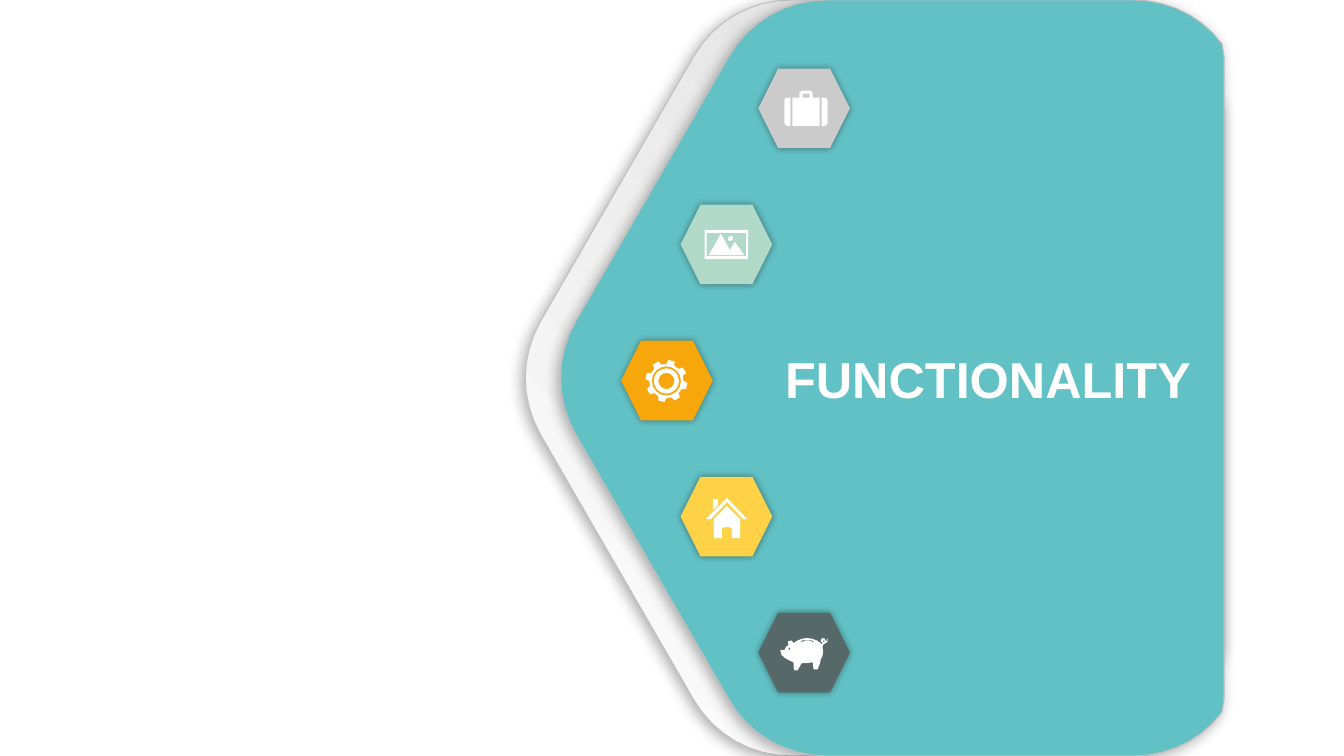
from math import cos, dist, pi, sin

from lxml.etree import SubElement
from pptx import Presentation
from pptx.dml.color import RGBColor
from pptx.enum.shapes import MSO_SHAPE as Shape
from pptx.enum.text import MSO_ANCHOR as Anchor, PP_ALIGN as Align
from pptx.oxml.ns import qn
from pptx.util import Inches, Pt

COLS, ROWS = 1333, 750  # grid of the slide
EDGE = 1214             # column where the panels are cut off
PITCH = 135             # rows from one hexagon to the next

PANEL = """M 785 0 L 1089 0 C 1129 0 1166 21 1185 56 L 1214 106 1214 644 1185 694
C 1166 729 1129 750 1089 750 L 785 750 C 745 750 708 729 688 694 L 536 431
C 516 396 516 354 536 319 L 688 56 C 708 21 745 0 785 0"""

# Icon outlines, in grid cells from the corner of their hexagon
CASE = """M 63 29 L 66 29 C 68 29 69 30 69 32 L 69 53 C 69 55 68 57 66 57 L 63 57
M 29 29 L 32 29 32 57 29 57 C 27 57 26 55 26 53 L 26 32 C 26 30 27 29 29 29
M 45 25 L 44 26 44 29 51 29 51 26 50 25
M 43 22 L 52 22 C 53 22 54 23 54 24 L 54 29 61 29 61 57 34 57 34 29 41 29 41 24
C 41 23 42 22 43 22"""
PHOTO = """M 50 31 L 52 32 52 35 50 36 48 36 47 34 48 32 M 40 29 L 49 45 54 37 63 50 28 50
M 26 28 L 26 51 65 51 65 28 M 24 25 L 67 25 67 54 24 54"""
HOUSE = """M 46 29 L 59 42 59 61 51 61 51 53 C 51 51 50 50 48 50 L 43 50
C 42 50 41 51 41 53 L 41 61 33 61 33 42 M 32 22 L 37 22 37 28 32 33
M 46 21 L 66 42 62 42 46 25 30 42 25 42"""
PIG = """M 31 34 L 30 36 31 37 32 36 M 65 27 L 64 28 65 29 66 28
M 49 27 C 47 27 44 27 42 28 L 43 29 C 47 27 51 27 55 29 L 55 28 C 53 27 51 27 49 27
M 48 25 C 53 25 59 27 62 30 L 63 31 64 30 62 28 C 62 26 63 25 65 25
66 25 67 27 67 28 L 67 29 69 25 C 70 29 68 30 65 31 L 64 33 64 35
C 65 40 64 44 62 46 62 50 60 53 59 56 L 55 56 C 55 54 54 52 54 49
50 50 46 50 43 50 42 53 40 55 39 57 L 36 57 C 35 57 35 52 35 49
31 47 21 44 22 37 22 36 24 37 26 37 27 34 28 33 30 32 30 30 29 28 30 28
33 26 34 28 35 30 38 27 45 25 48 25"""


def rgb(code):
    return RGBColor.from_string(code)


def bend(a, b, c, d):
    """Points along a cubic curve, without its start; long curves get more."""
    steps = min(8, 1 + round(dist(a, d) / 6))
    for i in range(1, steps + 1):
        t = i / steps
        u = 1 - t
        yield tuple(u**3 * p + 3 * u * u * t * q + 3 * u * t * t * r + t**3 * s
                    for p, q, r, s in zip(a, b, c, d))


def trace(text):
    """Turn M, L and C commands into closed loops of points."""
    loops = []
    for part in text.split("M")[1:]:
        head, *runs = part.replace("L", "|L").replace("C", "|C").split("|")
        loop = [tuple(map(int, head.split()))]
        for run in runs:
            nums = list(map(int, run[1:].split()))
            pts = list(zip(nums[::2], nums[1::2]))
            if run[0] == "L":
                loop += pts
            else:
                for i in range(0, len(pts), 3):
                    loop += bend(loop[-1], *pts[i:i + 3])
        loops.append(loop)
    return loops


def gear(x, y, teeth=8, sides=16):
    def spot(size, turn):
        angle = turn * pi / 180
        return x + size * sin(angle), y - size * cos(angle)

    rings = [[spot(size, 360 / sides * i) for i in range(sides)]
             for size in (8, 12.5, 14.5)]
    tooth = [(17, -14), (21, -8.7), (21, 8.7), (17, 14)]
    rim = [spot(size, 14 + 360 / teeth * i + turn)
           for i in range(teeth) for size, turn in tooth]
    return rings + [rim]


class Deck:
    font = "Arial"
    white = "FFFFFF"
    rim = "BFBFBF"

    def __init__(self):
        self.prs = Presentation()
        self.prs.slide_width, self.prs.slide_height = Inches(13.33), Inches(7.5)
        self.slide = self.prs.slides.add_slide(self.prs.slide_layouts[6])
        self.shapes = self.slide.shapes

    def cell(self, x, y):
        """Grid columns and rows as lengths."""
        return (round(x * self.prs.slide_width / COLS),
                round(y * self.prs.slide_height / ROWS))

    def paint(self, shape, fill, line=None, glow=None):
        """Fill is one colour or two for a gradient; glow is alpha, blur, distance, angle."""
        shape.shadow.inherit = False
        if isinstance(fill, str):
            shape.fill.solid()
            shape.fill.fore_color.rgb = rgb(fill)
        else:
            shape.fill.gradient()
            shape.fill.gradient_angle = 225
            for stop, code in zip(shape.fill.gradient_stops, fill):
                stop.color.rgb = rgb(code)
        if line:
            shape.line.color.rgb = rgb(line)
            shape.line.width = Pt(0.75)
        else:
            shape.line.fill.background()
        if glow:
            alpha, blur, away, angle = glow
            box = shape._element.spPr.find(qn("a:effectLst"))
            shade = SubElement(box, qn("a:outerShdw"), blurRad=str(Pt(blur)),
                               dist=str(Pt(away)), dir=str(angle * 60000),
                               algn="ctr", rotWithShape="0")
            tint = SubElement(shade, qn("a:srgbClr"), val="000000")
            SubElement(tint, qn("a:alpha"), val=str(alpha * 1000))

    def outline(self, loops, fill, x=0, y=0, **style):
        loops = [[self.cell(min(px + x, EDGE), py + y) for px, py in loop]
                 for loop in loops]
        pen = self.shapes.build_freeform(*loops[0][0], scale=1.0)
        for i, loop in enumerate(loops):
            if i:
                pen.move_to(*loop[0])
            pen.add_line_segments(loop[1:], close=True)
        self.paint(pen.convert_to_shape(), fill, **style)

    def badge(self, x, y, fill, icon):
        """A hexagon with an icon in it."""
        hexagon = self.shapes.add_shape(Shape.HEXAGON, *self.cell(x, y),
                                        *self.cell(91, 79))
        self.paint(hexagon, fill, glow=(40, 5, 0, 0))
        self.outline(icon, self.white, x, y)

    def text(self, words, x, y, w, h, size=36, bold=True, color=white, before=0):
        frame = self.shapes.add_textbox(*self.cell(x, y), *self.cell(w, h)).text_frame
        frame.word_wrap = True
        frame.vertical_anchor = Anchor.TOP
        para = frame.paragraphs[0]
        para.alignment = Align.CENTER
        para.space_before = Pt(before)
        run = para.add_run()
        run.text = words
        run.font.name, run.font.size, run.font.bold = self.font, Pt(size), bold
        run.font.color.rgb = rgb(color)


def main():
    deck = Deck()
    for shift, fill in ((0, ("D9D9D9", "FFFFFF")), (35, "62C1C5")):
        deck.outline(trace(PANEL), fill, shift, line=deck.rim, glow=(33, 10, 3, 135))
    badges = [(752, "CBCBCB", trace(CASE)), (675, "B1D9C7", trace(PHOTO)),
              (616, "F7A60B", gear(45, 40)), (675, "FDD247", trace(HOUSE)),
              (752, "576868", trace(PIG))]
    for i, (x, fill, icon) in enumerate(badges):
        deck.badge(x, 68 + PITCH * i, fill, icon)
    deck.text("FUNCTIONALITY", 766, 340, 428, 165, before=3.6)
    deck.prs.save("out.pptx")


if __name__ == "__main__":
    main()
